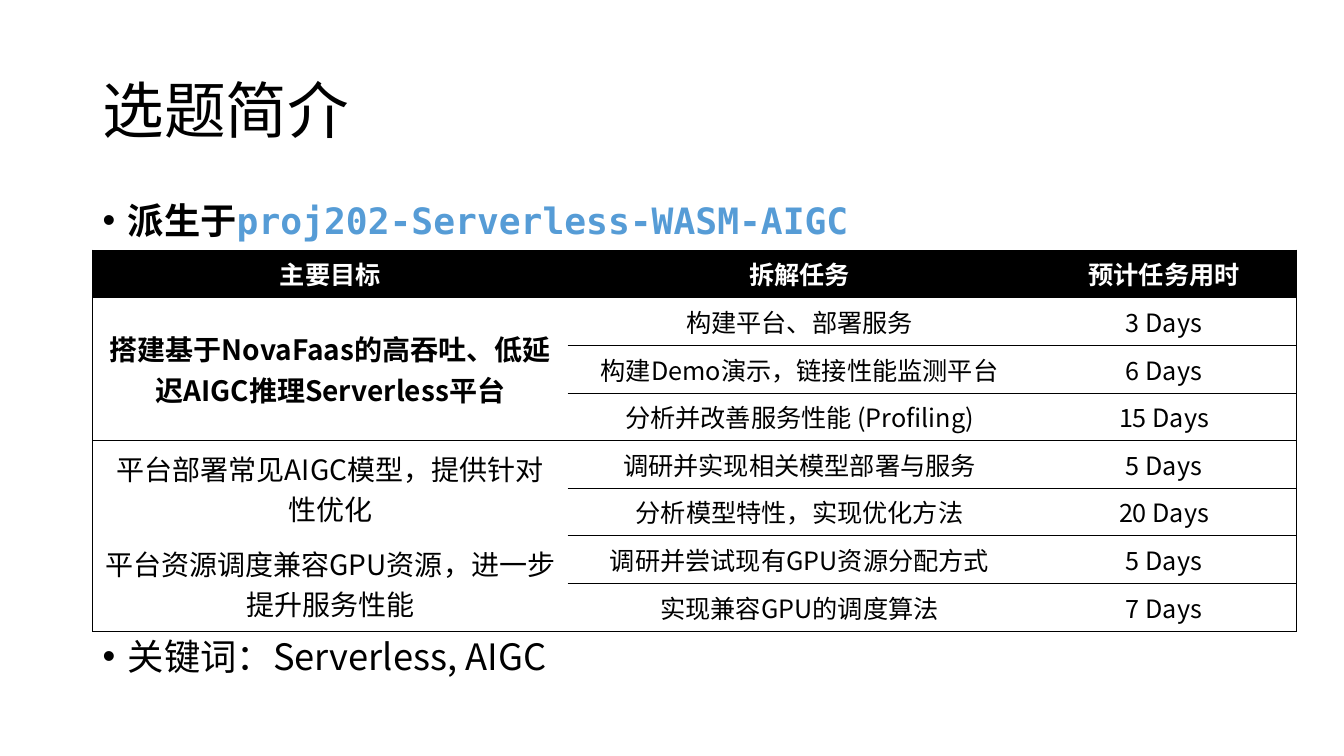
"""Build the project introduction slide with its task schedule table."""
from lxml.etree import SubElement
from pptx import Presentation
from pptx.dml.color import RGBColor
from pptx.enum.text import MSO_ANCHOR as Anchor, PP_ALIGN as Align
from pptx.oxml.ns import qn
from pptx.util import Inches, Pt

BLACK = RGBColor(0, 0, 0)
WHITE = RGBColor(255, 255, 255)
BLUE = RGBColor(0x56, 0x9C, 0xD6)
SANS, MONO = "Noto Sans CJK SC", "DejaVu Sans Mono"
LEFT, TEXT_WIDTH = 0.92, 11.5
TABLE_TOP, ROW_HEIGHT = 2.48, 0.4725
COLUMN_WIDTHS = [4.71, 4.6, 2.63]

HEADINGS = ["主要目标", "拆解任务", "预计任务用时"]
GOALS = [
    ("搭建基于NovaFaas的高吞吐、低延迟AIGC推理Serverless平台", [
        ("构建平台、部署服务", 3),
        ("构建Demo演示，链接性能监测平台", 6),
        ("分析并改善服务性能 (Profiling)", 15)]),
    ("平台部署常见AIGC模型，提供针对性优化", [
        ("调研并实现相关模型部署与服务", 5),
        ("分析模型特性，实现优化方法", 20)]),
    ("平台资源调度兼容GPU资源，进一步提升服务性能", [
        ("调研并尝试现有GPU资源分配方式", 5),
        ("实现兼容GPU的调度算法", 7)]),
]


def add_run(paragraph, text, size, color=BLACK, bold=False, name=SANS):
    run = paragraph.add_run()
    run.text = text
    formats = {"size": Pt(size), "bold": bold, "name": name}
    for attribute, value in formats.items():
        setattr(run.font, attribute, value)
    run.font.color.rgb = color
    SubElement(run.font._element, qn("a:ea"), typeface=SANS)


def add_line(slide, top, height, runs, spacing, anchor=Anchor.TOP):
    box = slide.shapes.add_textbox(
        Inches(LEFT), Inches(top), Inches(TEXT_WIDTH), Inches(height))
    box.text_frame.word_wrap = True
    box.text_frame.vertical_anchor = anchor
    paragraph = box.text_frame.paragraphs[0]
    paragraph.line_spacing = spacing
    for run in runs:
        add_run(paragraph, **run)
    return paragraph


presentation = Presentation()
presentation.slide_width = Inches(13.33)
presentation.slide_height = Inches(7.5)
slide = presentation.slides.add_slide(presentation.slide_layouts[6])

add_line(slide, 0.4, 1.45, [{"text": "选题简介", "size": 44}], 0.9, Anchor.MIDDLE)

origin = {"size": 25.9, "bold": True, "name": MONO}
bullets = [
    (2, [{"text": "派生于", **origin},
         {"text": "proj202-Serverless-WASM-AIGC", "color": BLUE, **origin}]),
    (6.33, [{"text": "关键词：Serverless, AIGC", "size": 25.9}]),
]
for top, runs in bullets:
    paragraph = add_line(slide, top, 0.48, runs, 0.8)
    paragraph.space_before = Pt(10)
    properties = paragraph._p.get_or_add_pPr()
    properties.set("marL", str(Inches(0.25)))
    properties.set("indent", str(-Inches(0.25)))
    SubElement(properties, qn("a:buFont"), typeface="Arial")
    SubElement(properties, qn("a:buChar"), char="•")

row_count = 1 + sum(len(tasks) for goal, tasks in GOALS)
table = slide.shapes.add_table(
    row_count, len(HEADINGS), Inches(LEFT), Inches(TABLE_TOP),
    Inches(sum(COLUMN_WIDTHS)), Inches(row_count * ROW_HEIGHT)).table
table.horz_banding = False
for column, width in zip(table.columns, COLUMN_WIDTHS):
    column.width = Inches(width)

texts = {(0, column): heading for column, heading in enumerate(HEADINGS)}
row = 1
for goal, tasks in GOALS:
    texts[row, 0] = goal
    table.cell(row, 0).merge(table.cell(row + len(tasks) - 1, 0))
    for task, days in tasks:
        texts[row, 1], texts[row, 2] = task, f"{days} Days"
        row += 1

last_row, last_column = row_count - 1, len(HEADINGS) - 1
first_goal_end = len(GOALS[0][1])
ruled_rows = {0, 1, first_goal_end + 1, row_count}
last_goal_start = row_count - len(GOALS[-1][1])
for row in range(row_count):
    for column in range(len(HEADINGS)):
        cell = table.cell(row, column)
        bottom = row + 1
        if cell.is_merge_origin:
            bottom = row + cell.span_height
        borders = {
            "a:lnL": column == 0,
            "a:lnR": column == last_column,
            "a:lnT": column > 0 or row in ruled_rows,
            "a:lnB": column > 0 or bottom in ruled_rows,
        }
        cell_properties = cell._tc.get_or_add_tcPr()
        for tag, drawn in borders.items():
            line = SubElement(cell_properties, qn(tag), w=str(Pt(0.5)))
            fill = SubElement(line, qn("a:solidFill" if drawn else "a:noFill"))
            if drawn:
                SubElement(fill, qn("a:srgbClr"), val=str(BLACK))
        cell.fill.solid()
        cell.fill.fore_color.rgb = WHITE if row else BLACK
        cell.vertical_anchor = Anchor.MIDDLE
        if (row, column) in texts:
            paragraph = cell.text_frame.paragraphs[0]
            paragraph.alignment = Align.CENTER
            add_run(paragraph, texts[row, column],
                    size=20 if row and column == 0 else 18,
                    color=BLACK if row else WHITE,
                    bold=row == 0 or (row, column) == (1, 0))
for table_row in table.rows:
    table_row.height = Inches(ROW_HEIGHT)

presentation.save("out.pptx")
